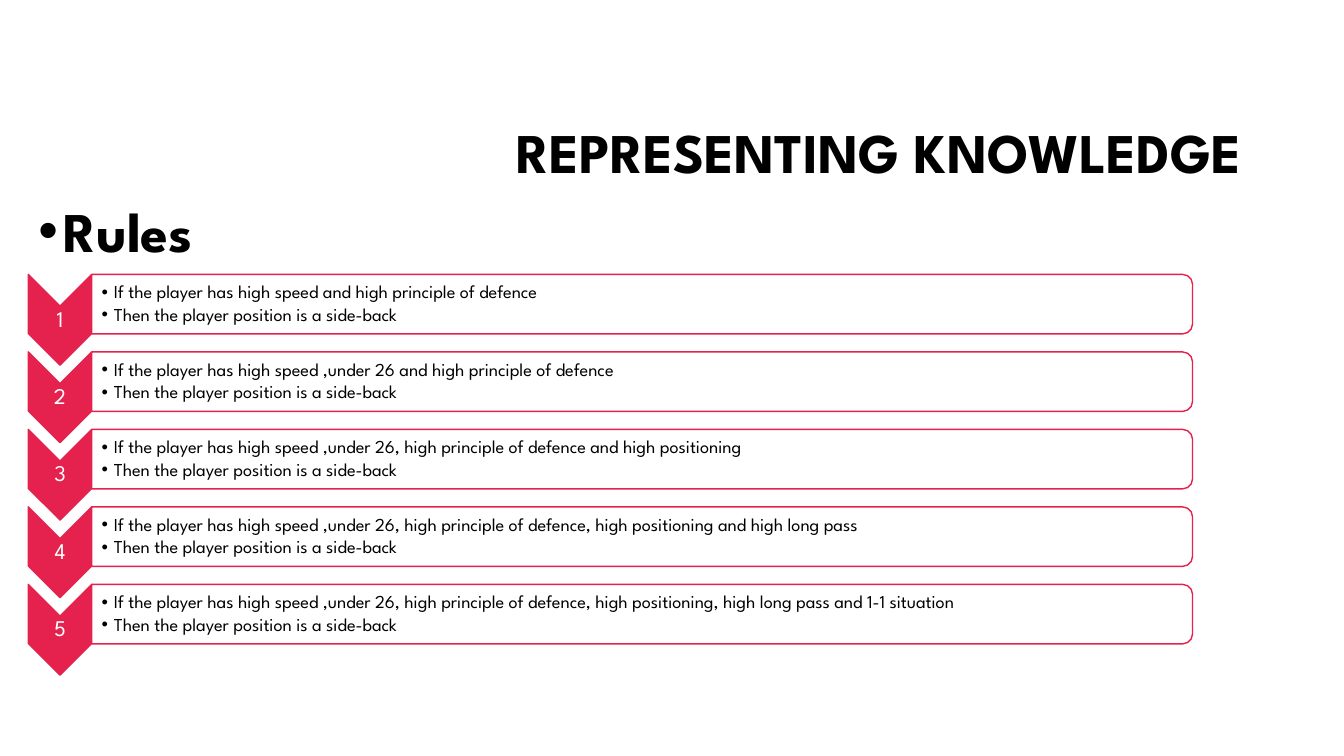
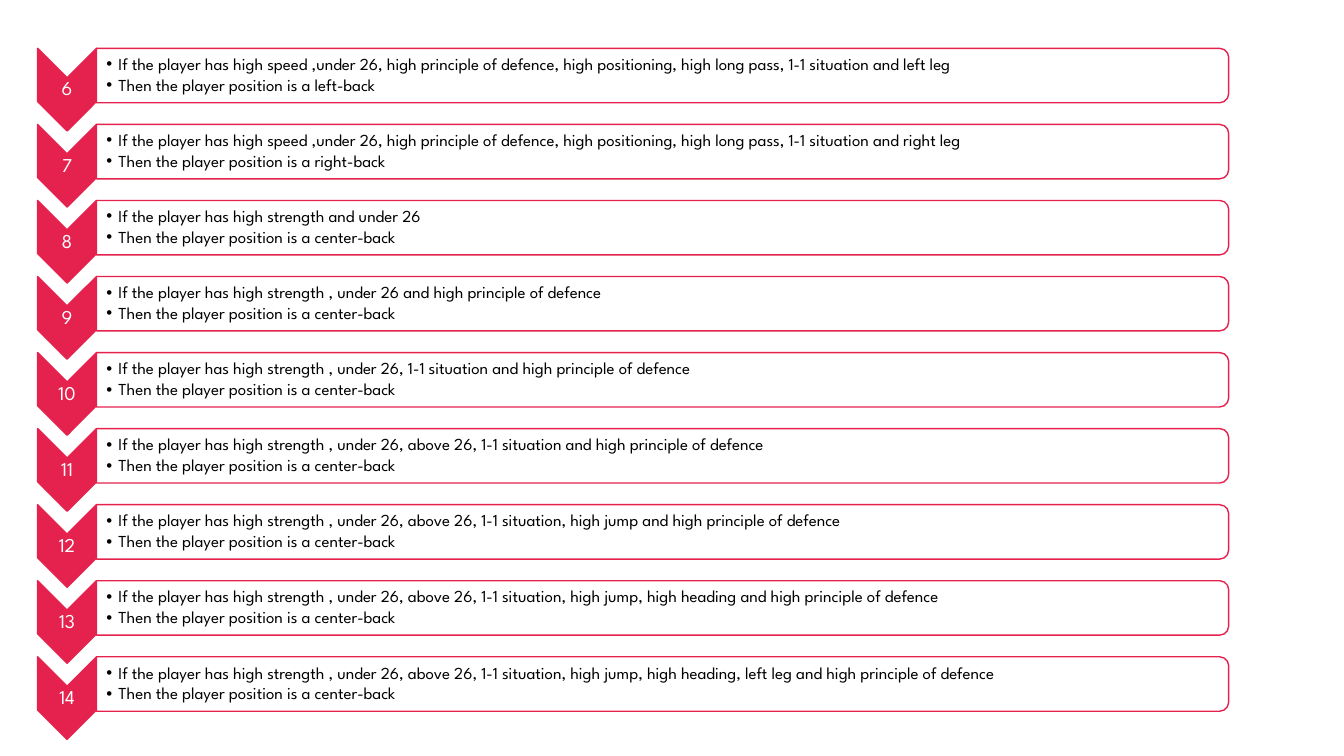
from lxml import etree
from pptx import Presentation
from pptx.dml.color import RGBColor
from pptx.enum.shapes import MSO_SHAPE
from pptx.enum.text import MSO_ANCHOR, MSO_AUTO_SIZE, PP_ALIGN
from pptx.oxml.ns import qn
from pptx.util import Inches, Pt

CHEVRON = MSO_SHAPE.CHEVRON
CARD = MSO_SHAPE.ROUND_2_SAME_RECTANGLE
MIDDLE, TOP = MSO_ANCHOR.MIDDLE, MSO_ANCHOR.TOP
LEFT, CENTER, RIGHT = PP_ALIGN.LEFT, PP_ALIGN.CENTER, PP_ALIGN.RIGHT
FIXED = MSO_AUTO_SIZE.NONE

FACE = "League Spartan"
PINK, WHITE, BLACK = "E5224E", "FFFFFF", "000000"

deck = Presentation()
deck.slide_width, deck.slide_height = Inches(13.33), Inches(7.5)
COL, ROW = deck.slide_width / 100, deck.slide_height / 100


def write(shape, text, area, size, color=BLACK, bold=False, align=LEFT,
          anchor=MIDDLE, pad=(0.01, 0.01, 0.01, 0.01), dent=0, after=0):
    x, y, w, h = area
    shape.left, shape.top = int(x * COL), int(y * ROW)
    shape.width, shape.height = int(w * COL), int(h * ROW)
    frame = shape.text_frame
    frame.word_wrap = True
    frame.auto_size = FIXED
    frame.vertical_anchor = anchor
    frame.margin_left, frame.margin_top, frame.margin_right, frame.margin_bottom = map(Inches, pad)
    frame.text = text
    for para in frame.paragraphs:
        para.alignment = align
        para.line_spacing = 0.9
        para.space_before, para.space_after = Pt(0), Pt(after)
        if dent:
            props = para._p.get_or_add_pPr()
            props.set("marL", str(Inches(dent)))
            props.set("indent", str(-Inches(dent)))
            etree.SubElement(props, qn("a:buFont"), typeface="Arial")
            etree.SubElement(props, qn("a:buChar"), char="•")
        font = para.runs[0].font
        font.name, font.size, font.bold = FACE, Pt(size), bold
        font.color.rgb = RGBColor.from_string(color)


def turn(slide, kind, area, fill):
    x, y, w, h = area[0] * COL, area[1] * ROW, area[2] * COL, area[3] * ROW
    shape = slide.shapes.add_shape(kind, int(x + (w - h) / 2), int(y + (h - w) / 2), int(h), int(w))
    shape.rotation = 90
    shape.shadow.inherit = False
    shape.fill.solid()
    shape.fill.fore_color.rgb = RGBColor.from_string(fill)
    shape.line.color.rgb = RGBColor.from_string(PINK)
    shape.line.width = Pt(1)


first = deck.slides.add_slide(deck.slide_layouts[1])
second = deck.slides.add_slide(deck.slide_layouts[6])

write(first.shapes.title, "REPRESENTING KNOWLEDGE", (23.8, 11.2, 70.65, 18.8), 40,
      bold=True, align=RIGHT, pad=(0.1, 0.05, 0.28, 0.05))
write(first.placeholders[1], "Rules", (2.1, 26.27, 19.95, 9.47), 40,
      bold=True, anchor=TOP, pad=(0.1, 0.05, 0.1, 0.05), dent=0.25)

speed = [
    ("high speed and high principle of defence", "side-back"),
    ("high speed ,under 26 and high principle of defence", "side-back"),
    ("high speed ,under 26, high principle of defence and high positioning", "side-back"),
    ("high speed ,under 26, high principle of defence, high positioning and high long pass", "side-back"),
    ("high speed ,under 26, high principle of defence, high positioning, high long pass and 1-1 situation", "side-back"),
]
power = [
    ("high speed ,under 26, high principle of defence, high positioning, high long pass, 1-1 situation and left leg", "left-back"),
    ("high speed ,under 26, high principle of defence, high positioning, high long pass, 1-1 situation and right leg", "right-back"),
    ("high strength and under 26", "center-back"),
    ("high strength , under 26 and high principle of defence", "center-back"),
    ("high strength , under 26, 1-1 situation and high principle of defence", "center-back"),
    ("high strength , under 26, above 26, 1-1 situation and high principle of defence", "center-back"),
    ("high strength , under 26, above 26, 1-1 situation, high jump and high principle of defence", "center-back"),
    ("high strength , under 26, above 26, 1-1 situation, high jump, high heading and high principle of defence", "center-back"),
    ("high strength , under 26, above 26, 1-1 situation, high jump, high heading, left leg and high principle of defence", "center-back"),
]

lists = [
    (first, speed, 1, (2.1, 36.3), (4.73, 12), (81.9, 7.87), 10.25, 16, 13),
    (second, power, 6, (2.8, 6.4), (4.38, 10.93), (84.24, 7.2), 10.06, 14, 12),
]

for slide, rules, start, (left, top), mark, card, step, big, small in lists:
    for row, (trait, role) in enumerate(rules):
        y = top + row * step
        badge = (left, y, *mark)
        panel = (left + mark[0], y, *card)
        turn(slide, CHEVRON, badge, PINK)
        write(slide.shapes.add_textbox(0, 0, 0, 0), str(start + row), badge, big,
              color=WHITE, align=CENTER)
        turn(slide, CARD, panel, WHITE)
        write(slide.shapes.add_textbox(0, 0, 0, 0),
              f"If the player has {trait}\nThen the player position is a {role}",
              panel, small, pad=(0.1, 0.01, 0.01, 0.01), dent=0.12, after=2)

deck.save("out.pptx")
